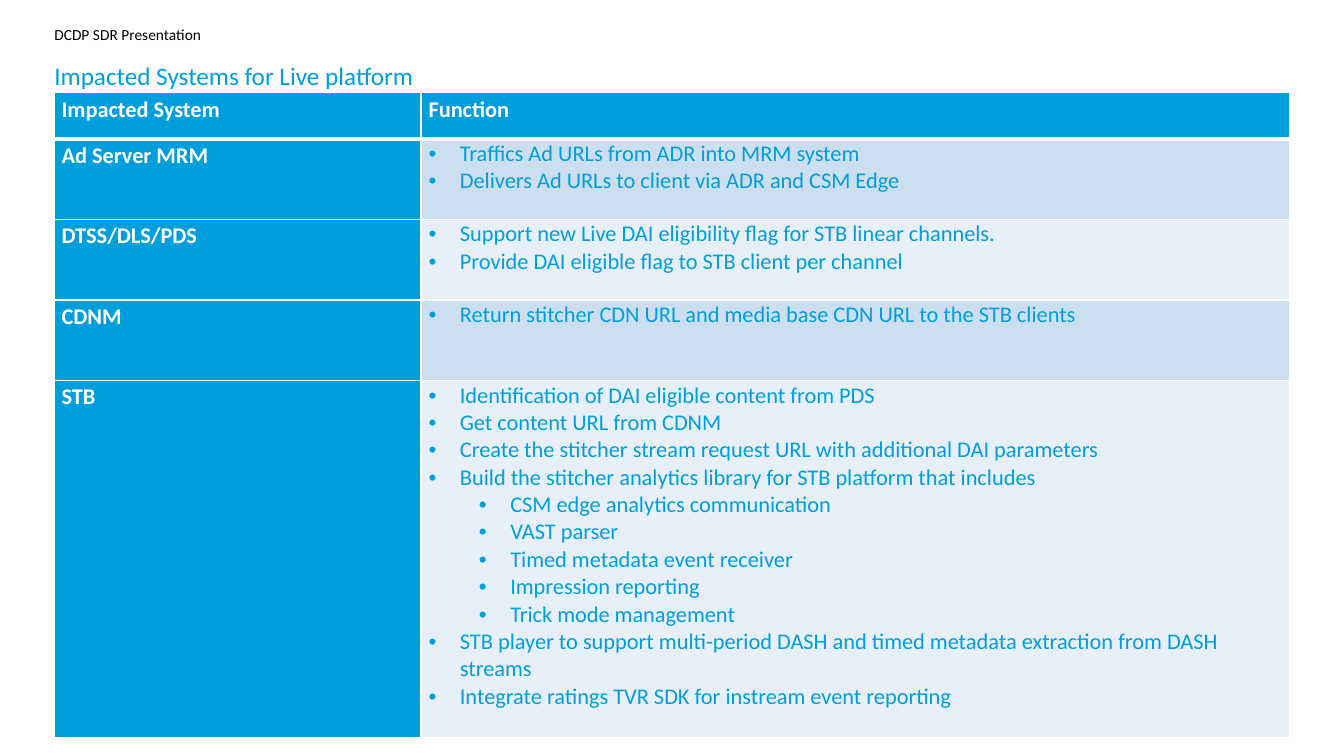
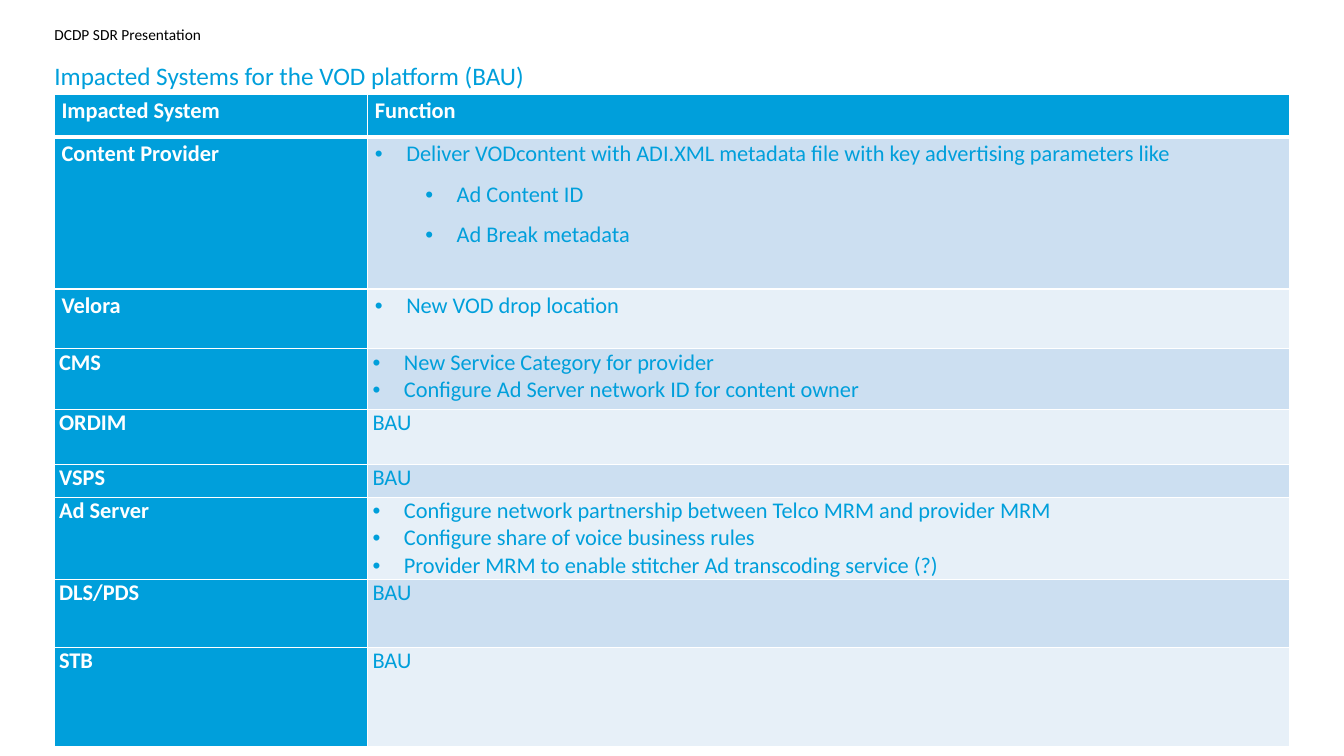
from dataclasses import dataclass

from lxml import etree
from pptx import Presentation
from pptx import util as u
from pptx.dml.color import RGBColor
from pptx.enum import text
from pptx.oxml import ns

BLUE = RGBColor(0x00, 0x9F, 0xDB)
BAND_DARK = RGBColor(0xCC, 0xDF, 0xF1)
BAND_LIGHT = RGBColor(0xE7, 0xF0, 0xF8)
WHITE = RGBColor(0xFF, 0xFF, 0xFF)
BLACK = RGBColor(0x00, 0x00, 0x00)
FONT = "Calibri"
TABLE_SIZE = u.Pt(16)
HANGING = u.Cm(0.79)
LEVEL_STEP = u.Cm(1.27)
MARGIN_LEFT = u.Cm(1.37)
CONTENT_WIDTH = u.Cm(31.14)
TABLE_LEFT = u.Cm(1.36)


@dataclass(frozen=True)
class CellStyle:
    side: float
    top: float
    label_spacing: float = 1.0
    body_spacing: float = 1.0
    space_after: float = 0


@dataclass(frozen=True)
class Item:
    text: str
    level: int = 0
    bullet: bool = True


@dataclass(frozen=True)
class System:
    name: str
    height: float
    style: CellStyle
    functions: tuple[Item, ...]


@dataclass(frozen=True)
class Page:
    title: str
    top: float
    header_height: float
    columns: tuple[float, float]
    systems: tuple[System, ...]


LISTED = CellStyle(0.19, 0.03, label_spacing=1.07)
SPACED = CellStyle(0.19, 0.03, 1.07, 1.07, 8)
TIGHT = CellStyle(0.13, 0)
UNCHANGED = (Item("BAU", bullet=False),)

PAGES = (
    Page("Impacted Systems for Live platform", 2.34, 1.16, (9.25, 21.89), (
        System("Ad Server MRM", 2.03, LISTED, (
            Item("Traffics Ad URLs from ADR into MRM system"),
            Item("Delivers Ad URLs to client via ADR and CSM Edge"),
        )),
        System("DTSS/DLS/PDS", 2.03, LISTED, (
            Item("Support new Live DAI eligibility flag for STB linear channels."),
            Item("Provide DAI eligible flag to STB client per channel"),
        )),
        System("CDNM", 2.03, LISTED, (
            Item("Return stitcher CDN URL and media base CDN URL to the STB clients"),
        )),
        System("STB", 9, LISTED, (
            Item("Identification of DAI eligible content from PDS"),
            Item("Get content URL from CDNM"),
            Item("Create the stitcher stream request URL with additional DAI parameters"),
            Item("Build the stitcher analytics library for STB platform that includes"),
            Item("CSM edge analytics communication", 1),
            Item("VAST parser", 1),
            Item("Timed metadata event receiver", 1),
            Item("Impression reporting", 1),
            Item("Trick mode management", 1),
            Item("STB player to support multi-period DASH and timed metadata "
                 "extraction from DASH streams"),
            Item("Integrate ratings TVR SDK for instream event reporting"),
        )),
    )),
    Page("Impacted Systems for the VOD platform (BAU)", 2.37, 1.09, (7.9, 23.24), (
        System("Content Provider", 3.82, SPACED, (
            Item("Deliver VODcontent with ADI.XML metadata file with key "
                 "advertising parameters like"),
            Item("Ad Content ID", 1),
            Item("Ad Break metadata", 1),
        )),
        System("Velora", 1.51, SPACED, (Item("New VOD drop location"),)),
        System("CMS", 1.52, TIGHT, (
            Item("New Service Category for provider"),
            Item("Configure Ad Server network ID for content owner"),
        )),
        System("ORDIM", 1.39, TIGHT, UNCHANGED),
        System("VSPS", 0.83, TIGHT, UNCHANGED),
        System("Ad Server", 2.07, TIGHT, (
            Item("Configure network partnership between Telco MRM and provider MRM"),
            Item("Configure share of voice business rules"),
            Item("Provider MRM to enable stitcher Ad transcoding service (?)"),
        )),
        System("DLS/PDS", 1.71, TIGHT, UNCHANGED),
        System("STB", 2.5, TIGHT, UNCHANGED),
    )),
)


def format_font(paragraph, size: u.Length, color: RGBColor, bold: bool = False) -> None:
    for run in paragraph.runs:
        run.font.name = FONT
        run.font.size = size
        run.font.bold = bold
        run.font.color.rgb = color


def add_text_line(slide, words: str, top: float, height: float, size: float,
                  color: RGBColor, spacing: float = 1.0) -> None:
    shape = slide.shapes.add_textbox(MARGIN_LEFT, u.Cm(top), CONTENT_WIDTH, u.Cm(height))
    frame = shape.text_frame
    frame.word_wrap = True
    frame.margin_left = frame.margin_right = frame.margin_top = frame.margin_bottom = 0
    frame.text = words
    paragraph = frame.paragraphs[0]
    paragraph.line_spacing = spacing
    format_font(paragraph, u.Pt(size), color)


def add_bullet(paragraph, level: int) -> None:
    properties = paragraph._p.get_or_add_pPr()
    properties.set("marL", str(HANGING + level * LEVEL_STEP))
    properties.set("indent", str(-HANGING))
    etree.SubElement(properties, ns.qn("a:buFont"), typeface="Arial")
    etree.SubElement(properties, ns.qn("a:buChar"), char="•")


def add_borders(cell, top: float, bottom: float) -> None:
    properties = cell._tc.get_or_add_tcPr()
    for side, points in (("L", 1), ("R", 1), ("T", top), ("B", bottom)):
        line = etree.SubElement(properties, ns.qn(f"a:ln{side}"), w=str(u.Pt(points)))
        fill = etree.SubElement(line, ns.qn("a:solidFill"))
        etree.SubElement(fill, ns.qn("a:srgbClr"), val=str(WHITE))


def fill_cell(cell, items: tuple[Item, ...], style: CellStyle, spacing: float,
              fill: RGBColor, color: RGBColor, bold: bool, edges: tuple[float, float]) -> None:
    add_borders(cell, *edges)
    cell.fill.solid()
    cell.fill.fore_color.rgb = fill
    cell.margin_left = cell.margin_right = u.Cm(style.side)
    cell.margin_top = u.Cm(style.top)
    cell.margin_bottom = 0
    cell.vertical_anchor = text.MSO_ANCHOR.TOP
    cell.text_frame.text = "\n".join(item.text for item in items)
    for paragraph, item in zip(cell.text_frame.paragraphs, items):
        if item.bullet:
            paragraph.level = item.level
            add_bullet(paragraph, item.level)
        paragraph.line_spacing = spacing
        paragraph.space_after = u.Pt(style.space_after)
        format_font(paragraph, TABLE_SIZE, color, bold)


def add_system_table(slide, page: Page) -> None:
    heights = [page.header_height] + [system.height for system in page.systems]
    table = slide.shapes.add_table(len(heights), 2, TABLE_LEFT, u.Cm(page.top),
                                   CONTENT_WIDTH, u.Cm(sum(heights))).table
    table.first_row = table.horz_banding = False
    for column, width in zip(table.columns, page.columns):
        column.width = u.Cm(width)
    for row, height in zip(table.rows, heights):
        row.height = u.Cm(height)
    for column, heading in enumerate(("Impacted System", "Function")):
        fill_cell(table.cell(0, column), (Item(heading, bullet=False),), SPACED,
                  SPACED.label_spacing, BLUE, WHITE, True, (1, 3))
    for row, system in enumerate(page.systems, start=1):
        style = system.style
        edges = (3 if row == 1 else 1, 1)
        band = BAND_DARK if row % 2 else BAND_LIGHT
        fill_cell(table.cell(row, 0), (Item(system.name, bullet=False),), style,
                  style.label_spacing, BLUE, WHITE, True, edges)
        fill_cell(table.cell(row, 1), system.functions, style,
                  style.body_spacing, band, BLUE, False, edges)


def main() -> None:
    presentation = Presentation()
    presentation.slide_width = u.Cm(33.87)
    presentation.slide_height = u.Cm(19.05)
    for page in PAGES:
        slide = presentation.slides.add_slide(presentation.slide_layouts[6])
        add_text_line(slide, "DCDP SDR Presentation", 0.64, 0.51, 11, BLACK)
        add_text_line(slide, page.title, 1.45, 0.94, 18, BLUE, 1.1)
        add_system_table(slide, page)
    presentation.save("out.pptx")


if __name__ == "__main__":
    main()
